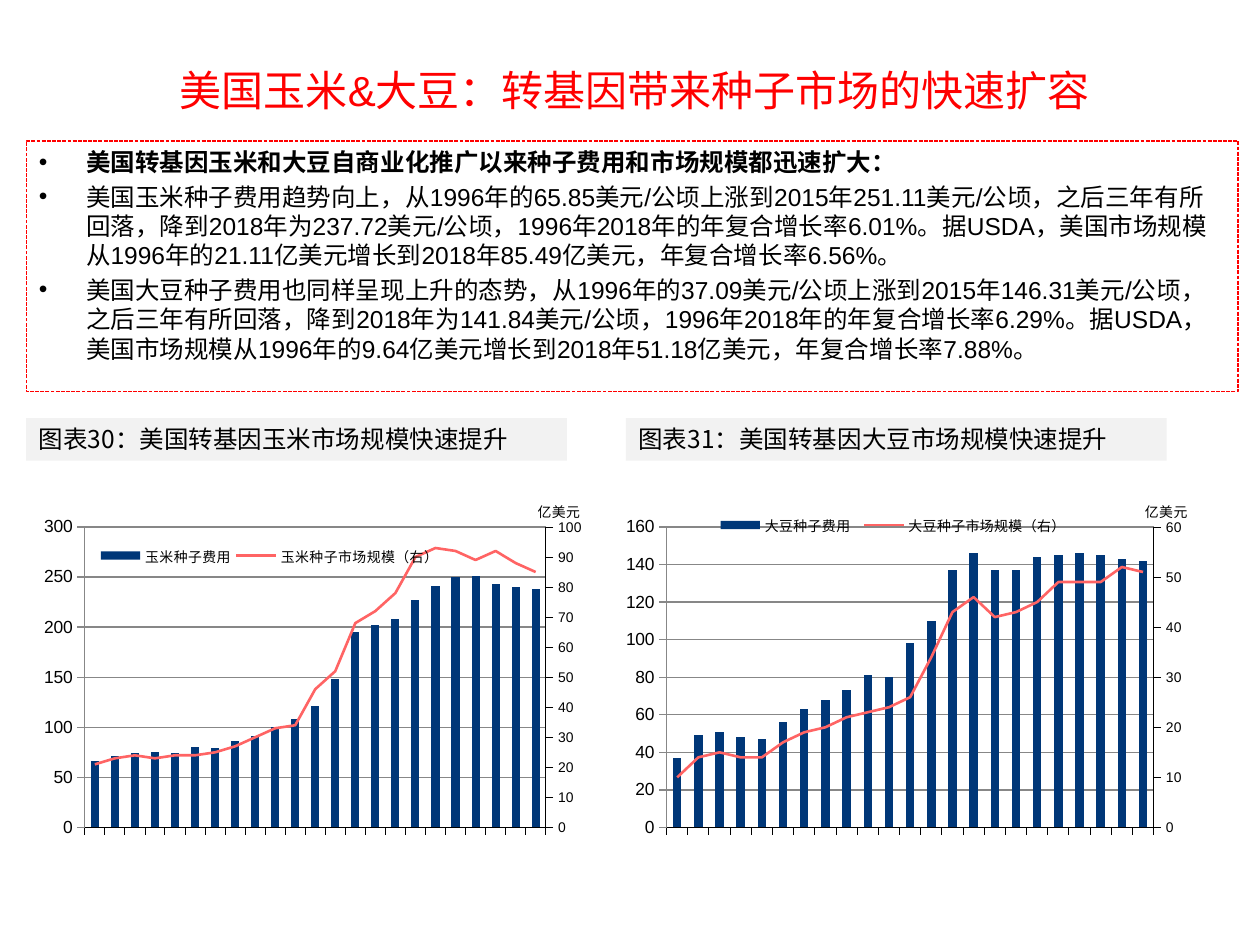
from copy import deepcopy

from pptx import Presentation
from pptx.chart.axis import ValueAxis
from pptx.chart.data import CategoryChartData
from pptx.dml.color import RGBColor
from pptx.enum.chart import XL_CHART_TYPE, XL_LEGEND_POSITION, XL_MARKER_STYLE
from pptx.enum.chart import XL_TICK_LABEL_POSITION, XL_TICK_MARK
from pptx.enum.dml import MSO_LINE
from pptx.enum.shapes import MSO_SHAPE
from pptx.enum.text import MSO_ANCHOR, MSO_AUTO_SIZE, PP_ALIGN
from pptx.oxml import parse_xml
from pptx.oxml.ns import nsdecls, qn
from pptx.util import Cm, Pt

COLUMN, LEGEND_TOP = XL_CHART_TYPE.COLUMN_CLUSTERED, XL_LEGEND_POSITION.TOP
NO_MARK, NO_LABEL = XL_MARKER_STYLE.NONE, XL_TICK_LABEL_POSITION.NONE
OUT, NO_TICK = XL_TICK_MARK.OUTSIDE, XL_TICK_MARK.NONE
FIXED, GROW = MSO_AUTO_SIZE.NONE, MSO_AUTO_SIZE.SHAPE_TO_FIT_TEXT
TOP, MIDDLE = MSO_ANCHOR.TOP, MSO_ANCHOR.MIDDLE

RED = RGBColor(0xFF, 0x00, 0x00)
BLACK = RGBColor(0x00, 0x00, 0x00)
GREY = RGBColor(0xF2, 0xF2, 0xF2)
NAVY = RGBColor(0x00, 0x37, 0x78)
CORAL = RGBColor(0xFF, 0x64, 0x64)

LATIN, HAN = "Arial", "Noto Sans CJK SC"
SMALL = {"name": LATIN, "size": Pt(8), "bold": False}
YEARS = [str(year) for year in range(1996, 2019)]

TITLE = "美国玉米&大豆：转基因带来种子市场的快速扩容"
POINTS = [
    "美国转基因玉米和大豆自商业化推广以来种子费用和市场规模都迅速扩大：",
    "美国玉米种子费用趋势向上，从1996年的65.85美元/公顷上涨到2015年251.11美元/公顷，"
    "之后三年有所回落，降到2018年为237.72美元/公顷，1996年2018年的年复合增长率6.01%。"
    "据USDA，美国市场规模从1996年的21.11亿美元增长到2018年85.49亿美元，年复合增长率6.56%。",
    "美国大豆种子费用也同样呈现上升的态势，从1996年的37.09美元/公顷上涨到2015年146.31美元/公顷，"
    "之后三年有所回落，降到2018年为141.84美元/公顷，1996年2018年的年复合增长率6.29%。"
    "据USDA，美国市场规模从1996年的9.64亿美元增长到2018年51.18亿美元，年复合增长率7.88%。",
]
CORN = {
    "crop": "玉米", "number": 30, "left": (300, 50), "right": (100, 10),
    "cost": [66, 71, 74, 75, 74, 80, 79, 86, 91, 100, 108, 121, 148, 195, 202, 208, 227, 241, 250, 251,
             243, 240, 238],
    "market": [21, 23, 24, 23, 24, 24, 25, 27, 30, 33, 34, 46, 52, 68, 72, 78, 90, 93, 92, 89, 92, 88, 85],
    "plot": (0.07, 0.11, 0.86, 0.79), "legend": (0.09, 0.15, 0.65, 0.07), "units": (0.03, 0.91),
}
SOY = {
    "crop": "大豆", "number": 31, "left": (160, 20), "right": (60, 10),
    "cost": [37, 49, 51, 48, 47, 56, 63, 68, 73, 81, 80, 98, 110, 137, 146, 137, 137, 144, 145, 146,
             145, 143, 142],
    "market": [10, 14, 15, 14, 14, 17, 19, 20, 22, 23, 24, 26, 34, 43, 46, 42, 43, 45, 49, 49, 49, 52, 51],
    "plot": (0.07, 0.11, 0.87, 0.79), "legend": (0.15, 0.07, 0.65, 0.07), "units": (0.03, 0.92),
}


def apply(target, values):
    for name, value in values.items():
        setattr(target, name, value)


def style(font, values, color=BLACK):
    apply(font, values)
    font.color.rgb = color


def paint(fill, color):
    fill.solid()
    fill.fore_color.rgb = color


def place(shape, box):
    apply(shape, dict(zip(("left", "top", "width", "height"), map(Cm, box))))


def set_layout(parent, box, index, inner=False):
    """Pin a chart part at fractions of the chart area; index is the child slot."""
    for old in parent.findall(qn("c:layout")):
        parent.remove(old)
    target = '<c:layoutTarget val="inner"/>' if inner else ""
    sizes = "".join(f'<c:{key} val="{value}"/>' for key, value in zip("xywh", box))
    parent.insert(index, parse_xml(
        f'<c:layout {nsdecls("c")}><c:manualLayout>{target}<c:xMode val="edge"/>'
        f'<c:yMode val="edge"/>{sizes}</c:manualLayout></c:layout>'))


def add_title(slide, box):
    title = slide.shapes.title
    place(title, box)
    frame = title.text_frame
    frame.text = TITLE
    apply(frame, {"auto_size": FIXED, "word_wrap": True, "vertical_anchor": MIDDLE})
    frame.paragraphs[0].alignment = PP_ALIGN.CENTER
    style(frame.paragraphs[0].runs[0].font, {"name": LATIN, "size": Pt(24), "bold": False}, RED)


def add_points(slide, box):
    body = slide.placeholders[1]
    place(body, box)
    body.line.color.rgb = RED
    apply(body.line, {"width": Pt(0.75), "dash_style": MSO_LINE.SQUARE_DOT})
    frame = body.text_frame
    frame.text = "\n".join(POINTS)
    apply(frame, {"auto_size": FIXED, "word_wrap": True})
    for i, para in enumerate(frame.paragraphs):
        props = para._p.get_or_add_pPr()
        props.set("marL", str(Cm(0.95)))
        props.set("indent", str(-Cm(0.95)))
        style(para.runs[0].font, {"name": LATIN, "size": Pt(14), "bold": i == 0})


def add_caption(slide, box, data):
    bar = slide.shapes.add_shape(MSO_SHAPE.RECTANGLE, *map(Cm, box))
    bar.shadow.inherit = False
    paint(bar.fill, GREY)
    bar.line.fill.background()
    frame = bar.text_frame
    frame.text = f"图表{data['number']}：美国转基因{data['crop']}市场规模快速提升"
    apply(frame, {"word_wrap": True, "vertical_anchor": TOP, "auto_size": GROW})
    frame.paragraphs[0].alignment = PP_ALIGN.LEFT
    style(frame.paragraphs[0].runs[0].font, {"name": HAN, "size": Pt(14)})


def style_axis(axis):
    apply(axis, {"major_tick_mark": OUT, "minor_tick_mark": NO_TICK, "has_major_gridlines": False})
    style(axis.tick_labels.font, SMALL)
    axis.format.line.color.rgb = BLACK
    axis.format.line.width = Pt(0.5)


def style_scale(axis, scale, unit, x):
    """Format a value axis and set its unit label level above it."""
    style_axis(axis)
    apply(axis, {"minimum_scale": 0, "maximum_scale": scale[0], "major_unit": scale[1]})
    apply(axis.tick_labels, {"number_format": "#,##0", "number_format_is_linked": False})
    frame = axis.axis_title.text_frame
    frame.text = unit
    style(frame.paragraphs[0].runs[0].font, SMALL)
    frame._txBody.bodyPr.set("rot", "0")
    set_layout(axis.axis_title._element, (x, 0.03), 1)


def split_line(chart):
    """Move the second series to a line on a right axis; return that axis."""
    area = chart._chartSpace.chart.plotArea
    bars = area.find(qn("c:barChart"))
    line = parse_xml(f'<c:lineChart {nsdecls("c")}><c:grouping val="standard"/><c:varyColors val="0"/>'
                     '<c:marker val="1"/><c:axId val="501"/><c:axId val="502"/></c:lineChart>')
    series = bars.findall(qn("c:ser"))[1]
    for flag in series.findall(qn("c:invertIfNegative")):
        series.remove(flag)
    line.insert(2, series)
    bars.addnext(line)
    last = area.find(qn("c:valAx"))
    for tag, own, other, extra in (("c:catAx", "501", "502", {"c:delete": "1"}),
                                   ("c:valAx", "502", "501", {"c:axPos": "r", "c:crosses": "max"})):
        axis = deepcopy(area.find(qn(tag)))
        for name, value in {"c:axId": own, "c:crossAx": other, **extra}.items():
            axis.find(qn(name)).set("val", value)
        last.addnext(axis)
        last = axis
    return ValueAxis(last)


def add_combo(slide, box, data):
    table = CategoryChartData()
    table.categories = YEARS
    table.add_series(data["crop"] + "种子费用", data["cost"])
    table.add_series(data["crop"] + "种子市场规模（右）", data["market"])
    chart = slide.shapes.add_chart(COLUMN, *map(Cm, box), table).chart
    apply(chart, {"has_title": False, "has_legend": True})
    style(chart.font, {"name": LATIN, "size": Pt(10)})
    right = split_line(chart)
    style_axis(chart.category_axis)
    chart.category_axis.tick_label_position = NO_LABEL
    style_scale(chart.value_axis, data["left"], "美元/公顷", data["units"][0])
    style_scale(right, data["right"], "亿美元", data["units"][1])
    bars, line = chart.plots
    apply(bars, {"gap_width": 150, "vary_by_categories": False})
    paint(bars.series[0].format.fill, NAVY)
    trend = line.series[0]
    trend.smooth = False
    trend.marker.style = NO_MARK
    trend.format.line.color.rgb = CORAL
    trend.format.line.width = Pt(1.5)
    apply(chart.legend, {"position": LEGEND_TOP, "include_in_layout": False})
    style(chart.legend.font, SMALL)
    set_layout(chart.legend._element, data["legend"], 1)
    set_layout(chart._chartSpace.chart.plotArea, data["plot"], 0, inner=True)


deck = Presentation()
apply(deck, {"slide_width": Cm(25.4), "slide_height": Cm(19.05)})
page = deck.slides.add_slide(deck.slide_layouts[1])
add_title(page, (1.85, 1.04, 21.9, 1.52))
add_points(page, (0.53, 2.84, 24.43, 5.05))
for crop, edge, left, width in ((CORN, 0.53, 0.89, 10.87), (SOY, 12.62, 12.62, 11.38)):
    add_caption(page, (edge, 8.43, 10.9, 0.86), crop)
    add_combo(page, (left, 9.78, width, 7.67), crop)
deck.save("out.pptx")
